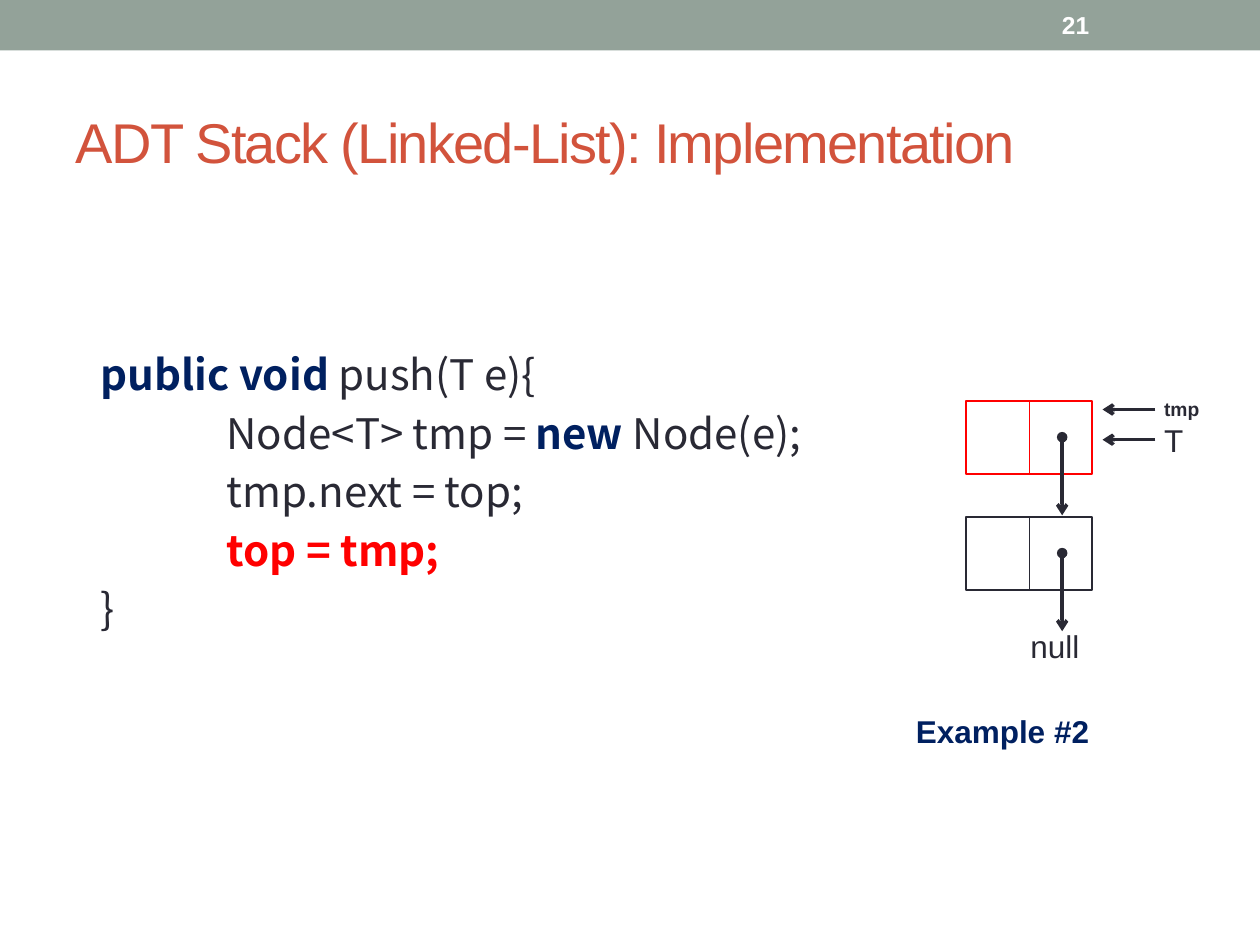
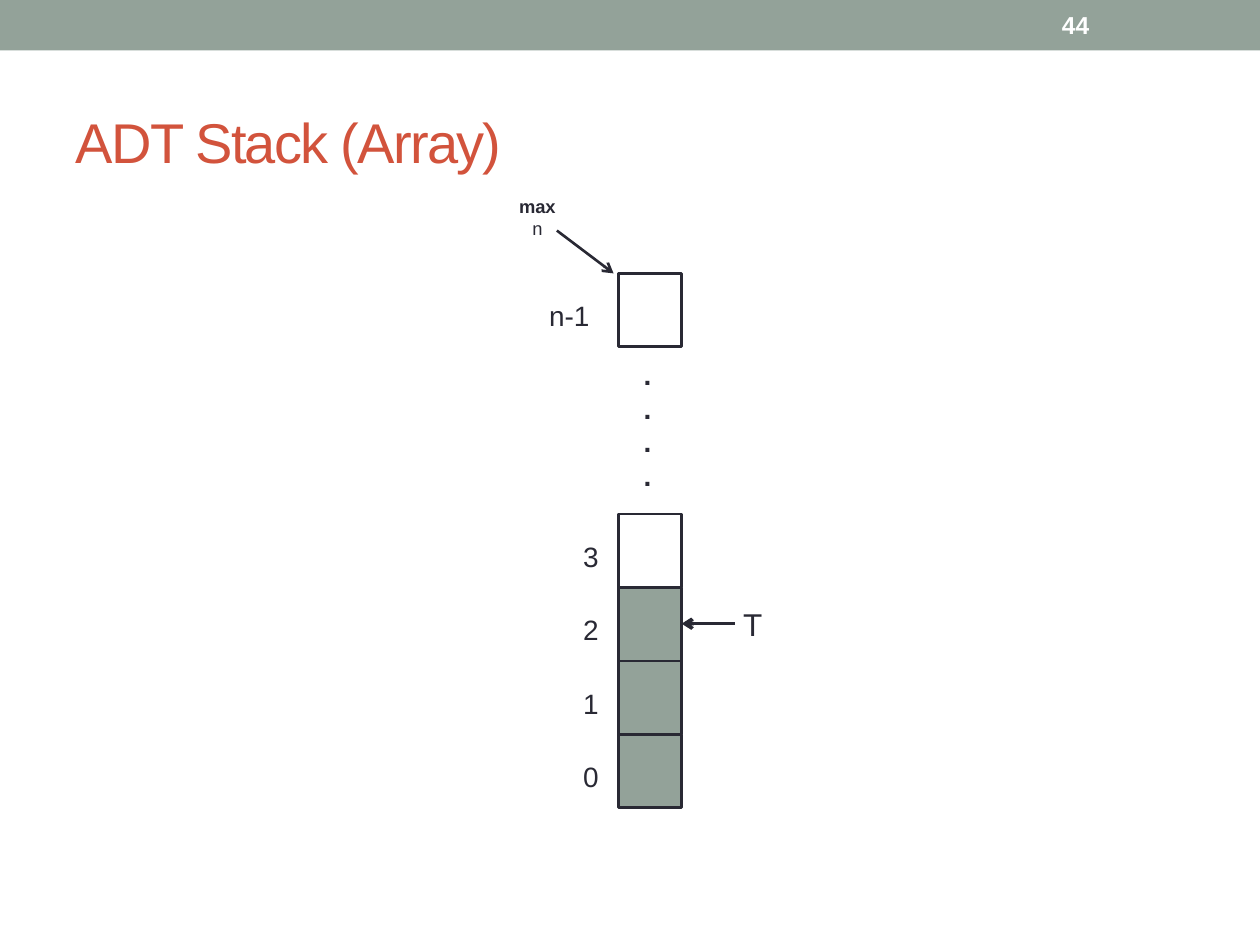
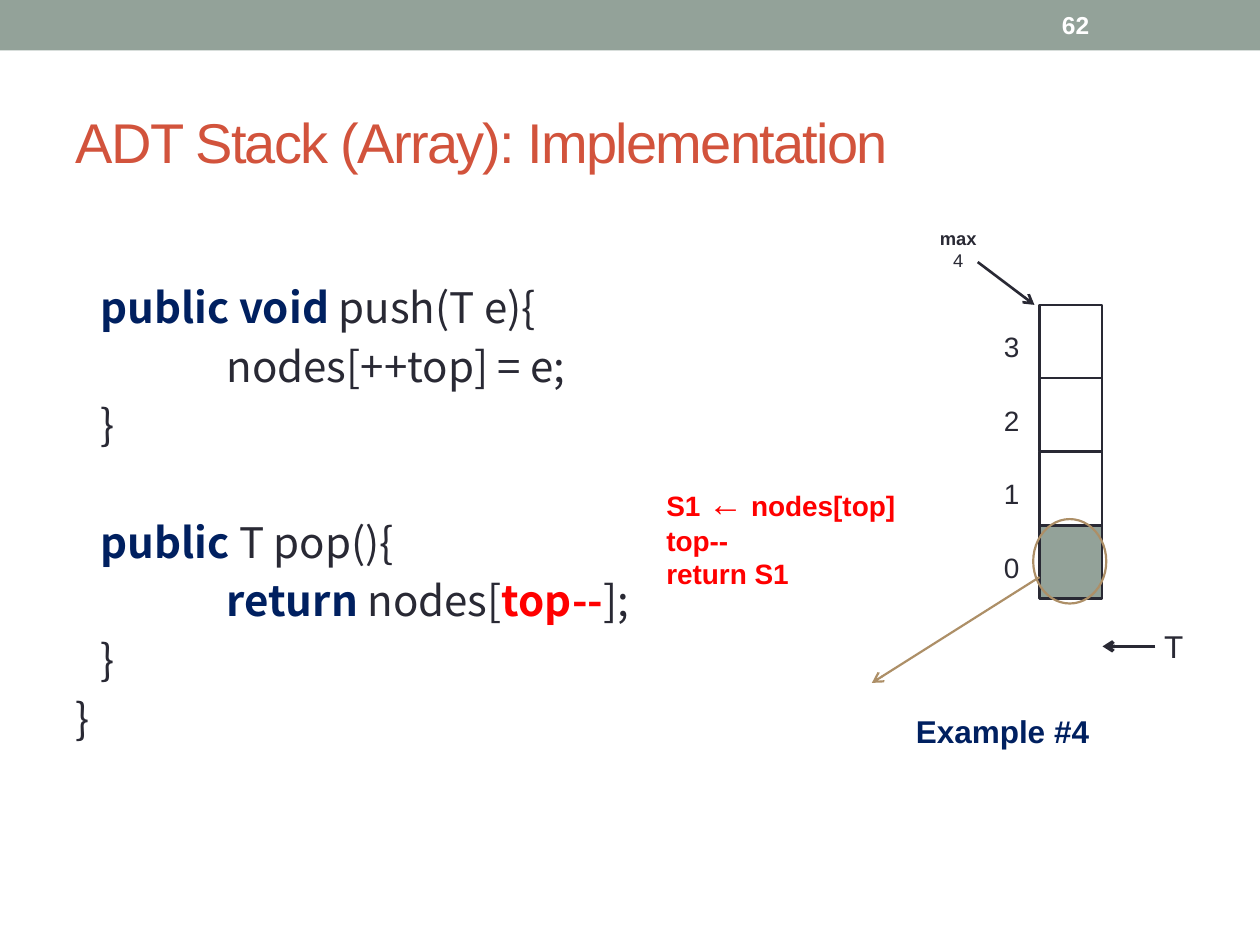
from collections.abc import Sequence
from dataclasses import dataclass
from typing import Optional, Union

from lxml.etree import SubElement
from pptx import Presentation
from pptx.dml.color import RGBColor
from pptx.enum.shapes import MSO_CONNECTOR, MSO_SHAPE
from pptx.enum.text import MSO_ANCHOR, MSO_AUTO_SIZE, PP_ALIGN
from pptx.oxml.ns import qn
from pptx.slide import Slide
from pptx.text.text import TextFrame
from pptx.util import Inches, Pt


@dataclass(frozen=True)
class Theme:
    """Colours, fonts and type sizes of the deck."""
    sage: str = "93A299"
    brick: str = "D2533C"
    ink: str = "292934"
    navy: str = "002060"
    red: str = "FF0000"
    tan: str = "AD8F67"
    white: str = "FFFFFF"
    font: str = "Arial"
    code_font: str = "Noto Sans CJK SC"
    title_size: float = 32
    code_size: float = 24
    code_pitch: float = 33.5
    symbol_size: float = 20
    label_size: float = 18
    index_size: float = 16
    number_size: float = 14
    small_size: float = 11
    max_size: float = 10.5


THEME = Theme()


@dataclass(frozen=True)
class Span:
    """A piece of a line with its own format; None keeps the line's format."""
    text: str
    color: Optional[str] = None
    bold: Optional[bool] = None
    size: Optional[float] = None


Line = Union[str, Sequence[Span]]


@dataclass(frozen=True)
class CodeLine:
    """A line of code, its indent in inches and the blank lines above it."""
    spans: Sequence[Span]
    indent: float = 0.2
    blank_above: int = 0


@dataclass(frozen=True)
class Cell:
    """One array cell with its index label."""
    index: str
    filled: bool = False


CELL_WIDTH, CELL_HEIGHT, CELL_PITCH = 0.5, 0.58, 7 / 12
NODE_WIDTH = 2 * CELL_WIDTH
INDENT = 1.2


def keyword(text: str) -> Span:
    """Return a reserved word of the code."""
    return Span(text, THEME.navy, True)


def active(text: str) -> Span:
    """Return the part of the code that is being run."""
    return Span(text, THEME.red, True)


def write(frame: TextFrame, lines: Sequence[Line], *, size: float,
          color: str = THEME.ink, bold: bool = False, font: str = THEME.font,
          align: PP_ALIGN = PP_ALIGN.LEFT, spacing: float = 0) -> None:
    """Fill a frame with one paragraph per line; a \\v breaks within it."""
    for number, line in enumerate(lines):
        paragraph = frame.add_paragraph() if number else frame.paragraphs[0]
        paragraph.alignment = align
        for span in [Span(line)] if isinstance(line, str) else line:
            for part_number, part in enumerate(span.text.split("\v")):
                if part_number:
                    paragraph.add_line_break()
                run = paragraph.add_run()
                run.text = part
                run.font.name = font
                run.font.size = Pt(span.size or size)
                run.font.bold = bold if span.bold is None else span.bold
                run.font.color.rgb = RGBColor.from_string(span.color or color)
                if spacing:
                    run.font._element.set("spc", str(int(spacing * 100)))


def add_label(slide: Slide, lines: Sequence[Line], left: float, top: float,
              width: float, height: float, **text_format) -> None:
    """Add an unwrapped text box that grows with its text."""
    frame = slide.shapes.add_textbox(Inches(left), Inches(top), Inches(width),
                                     Inches(height)).text_frame
    frame.word_wrap = False
    frame.auto_size = MSO_AUTO_SIZE.SHAPE_TO_FIT_TEXT
    write(frame, lines, **text_format)


def add_block(slide: Slide, left: float, top: float, width: float, height: float,
              *, fill: Optional[str] = None, outline: Optional[str] = None,
              preset: MSO_SHAPE = MSO_SHAPE.RECTANGLE) -> None:
    """Add a flat preset shape."""
    block = slide.shapes.add_shape(preset, Inches(left), Inches(top),
                                   Inches(width), Inches(height))
    block.shadow.inherit = False
    if fill:
        block.fill.solid()
        block.fill.fore_color.rgb = RGBColor.from_string(fill)
    else:
        block.fill.background()
    if outline:
        block.line.color.rgb = RGBColor.from_string(outline)
        block.line.width = Pt(1.25)
    else:
        block.line.fill.background()


def add_line(slide: Slide, start: tuple[float, float], end: tuple[float, float],
             *, color: str = THEME.ink, weight: float = 2,
             head: Optional[str] = None, tail: Optional[str] = "arrow") -> None:
    """Add a straight line with optional ends."""
    line = slide.shapes.add_connector(MSO_CONNECTOR.STRAIGHT, *map(Inches, start + end))
    line.line.color.rgb = RGBColor.from_string(color)
    line.line.width = Pt(weight)
    properties = line._element.spPr
    outline = properties.find(qn("a:ln"))
    for tag, kind in (("a:headEnd", head), ("a:tailEnd", tail)):
        if kind:
            SubElement(outline, qn(tag)).set("type", kind)
    SubElement(properties, qn("a:effectLst"))


def add_slide(deck: Presentation, title: str, number: int) -> Slide:
    """Add a slide with the band, title and number that all slides share."""
    slide = deck.slides.add_slide(deck.slide_layouts[5])
    add_block(slide, 0, 0, 10, 0.4, fill=THEME.sage)
    heading = slide.shapes.title
    heading.left, heading.top = Inches(0.5), Inches(0.58)
    heading.width, heading.height = Inches(9), Inches(1.08)
    heading.text_frame.auto_size = MSO_AUTO_SIZE.NONE
    heading.text_frame.vertical_anchor = MSO_ANCHOR.MIDDLE
    write(heading.text_frame, [title], size=THEME.title_size,
          color=THEME.brick, spacing=-1)
    page = slide.shapes.add_textbox(Inches(8.33), Inches(0.02), Inches(1.17),
                                    Inches(0.36)).text_frame
    page.word_wrap = True
    page.vertical_anchor = MSO_ANCHOR.MIDDLE
    write(page, [str(number)], size=THEME.number_size, color=THEME.white, bold=True)
    return slide


def add_code(slide: Slide, code: Sequence[CodeLine], inset: float) -> None:
    """Add the code listing, starting the inset below the top of its box."""
    frame = slide.shapes.add_textbox(Inches(0.5), Inches(1.75), Inches(9),
                                     Inches(5.33)).text_frame
    frame.word_wrap = True
    frame.margin_top = Inches(inset)
    write(frame, [line.spans for line in code], size=THEME.code_size,
          font=THEME.code_font)
    for paragraph, line in zip(frame.paragraphs, code):
        paragraph.line_spacing = Pt(THEME.code_pitch)
        paragraph.space_before = Pt(THEME.code_pitch * line.blank_above)
        paragraph._p.get_or_add_pPr().set("marL", str(Inches(line.indent)))


def add_pointer(slide: Slide, name: str, x: float, y: float, *, width: float = 0.36,
                height: float = 0.4, **text_format) -> None:
    """Add a named arrow whose tip is at x, y."""
    add_line(slide, (x + 0.42, y), (x, y))
    add_label(slide, [name], x + 0.39, y - height / 2, width, height,
              **{"size": THEME.label_size, **text_format})


def add_node(slide: Slide, left: float, top: float, color: str) -> None:
    """Add a list node with its link to the next one."""
    middle, link = left + NODE_WIDTH / 2, left + 0.76
    add_block(slide, left, top, NODE_WIDTH, CELL_HEIGHT, fill=THEME.white, outline=color)
    add_line(slide, (middle, top), (middle, top + CELL_HEIGHT), color=color,
             weight=0.75, tail=None)
    add_line(slide, (link, top + 0.29), (link, top + 0.91), head="oval")


def add_cells(slide: Slide, left: float, top: float, cells: Sequence[Cell]) -> None:
    """Stack array cells downwards, each with its index on the left."""
    for row, cell in enumerate(cells):
        cell_top = top + row * CELL_PITCH
        label_width = 0.34 if len(cell.index) == 1 else 0.61
        add_block(slide, left, cell_top, CELL_WIDTH, CELL_HEIGHT, outline=THEME.ink,
                  fill=THEME.sage if cell.filled else THEME.white)
        add_label(slide, [cell.index], left - 0.04 - label_width, cell_top + 0.15,
                  label_width, 0.37, size=THEME.index_size)


def add_max(slide: Slide, left: float, top: float, value: str) -> None:
    """Point out the capacity at the top left corner of an array."""
    add_line(slide, (left - 0.49, top - 0.34), (left - 0.04, top), weight=1.5)
    add_label(slide, [[Span("max\v", bold=True), Span(value)]], left - 0.91,
              top - 0.67, 0.53, 0.47, size=THEME.max_size, align=PP_ALIGN.CENTER)


def add_example(slide: Slide, number: int) -> None:
    """Add the caption of the example."""
    add_label(slide, [f"Example #{number}"], 7.17, 5.6, 1.64, 0.4,
              size=THEME.label_size, color=THEME.navy, bold=True)


def build_linked_push(deck: Presentation) -> None:
    """Build the push on a linked list."""
    slide = add_slide(deck, "ADT Stack (Linked-List): Implementation", 21)
    add_code(slide, [
        CodeLine([keyword("public void "), Span("push(T e){")]),
        CodeLine([Span("Node<T> tmp = "), keyword("new "), Span("Node(e);")], INDENT),
        CodeLine([Span("tmp.next = top;")], INDENT),
        CodeLine([active("top = tmp;")], INDENT),
        CodeLine([Span("}")]),
    ], 0.95)
    add_pointer(slide, "T", 8.75, 3.49)
    add_label(slide, ["null"], 8.08, 4.93, 0.66, 0.4, size=THEME.label_size)
    add_example(slide, 2)
    add_node(slide, 7.67, 4.1, THEME.ink)
    add_node(slide, 7.67, 3.18, THEME.red)
    add_pointer(slide, "tmp", 8.75, 3.25, width=0.5, height=0.29,
                size=THEME.small_size, bold=True)


def build_array(deck: Presentation) -> None:
    """Build the array of n cells."""
    slide = add_slide(deck, "ADT Stack (Array)", 44)
    left, last_top = 4.91, 2.17
    add_cells(slide, left, 4.08, [Cell("3"), Cell("2", True), Cell("1", True),
                                  Cell("0", True)])
    add_pointer(slide, "T", left + CELL_WIDTH, 4.95)
    add_max(slide, left, last_top, "n")
    add_cells(slide, left, last_top, [Cell("n-1")])
    add_label(slide, ["."] * 4, 5.01, 2.79, 0.27, 1.18, size=THEME.index_size, bold=True)


def build_array_pop(deck: Presentation) -> None:
    """Build the push and pop on an array of four cells."""
    slide = add_slide(deck, "ADT Stack (Array): Implementation", 62)
    add_code(slide, [
        CodeLine([keyword("public void "), Span("push(T e){")]),
        CodeLine([Span("nodes[++top] = e;")], INDENT),
        CodeLine([Span("}")]),
        CodeLine([keyword("public "), Span("T pop(){")], blank_above=1),
        CodeLine([keyword("return "), Span("nodes["), active("top--"), Span("];")], INDENT),
        CodeLine([Span("}")]),
        CodeLine([Span("}")], 0),
    ], 0.42)
    left, top = 8.25, 2.42
    add_cells(slide, left, top, [Cell("3"), Cell("2"), Cell("1"), Cell("0", True)])
    add_max(slide, left, top, "4")
    add_example(slide, 4)
    add_pointer(slide, "T", left + CELL_WIDTH, 5.13)
    add_line(slide, (left, 4.58), (6.92, 5.42), color=THEME.tan, weight=1.25)
    add_block(slide, 8.2, 4.12, 0.58, 0.67, outline=THEME.tan, preset=MSO_SHAPE.OVAL)
    add_label(slide, [[Span("S1 "), Span("←", size=THEME.symbol_size),
                       Span(" nodes[top]")], "top--\vreturn S1 "],
              5.19, 3.77, 2.04, 0.98, size=THEME.index_size, color=THEME.red, bold=True)


def main() -> None:
    """Build and save the deck."""
    deck = Presentation()
    deck.slide_width, deck.slide_height = Inches(10), Inches(7.5)
    for build in (build_linked_push, build_array, build_array_pop):
        build(deck)
    deck.save("out.pptx")


main()
